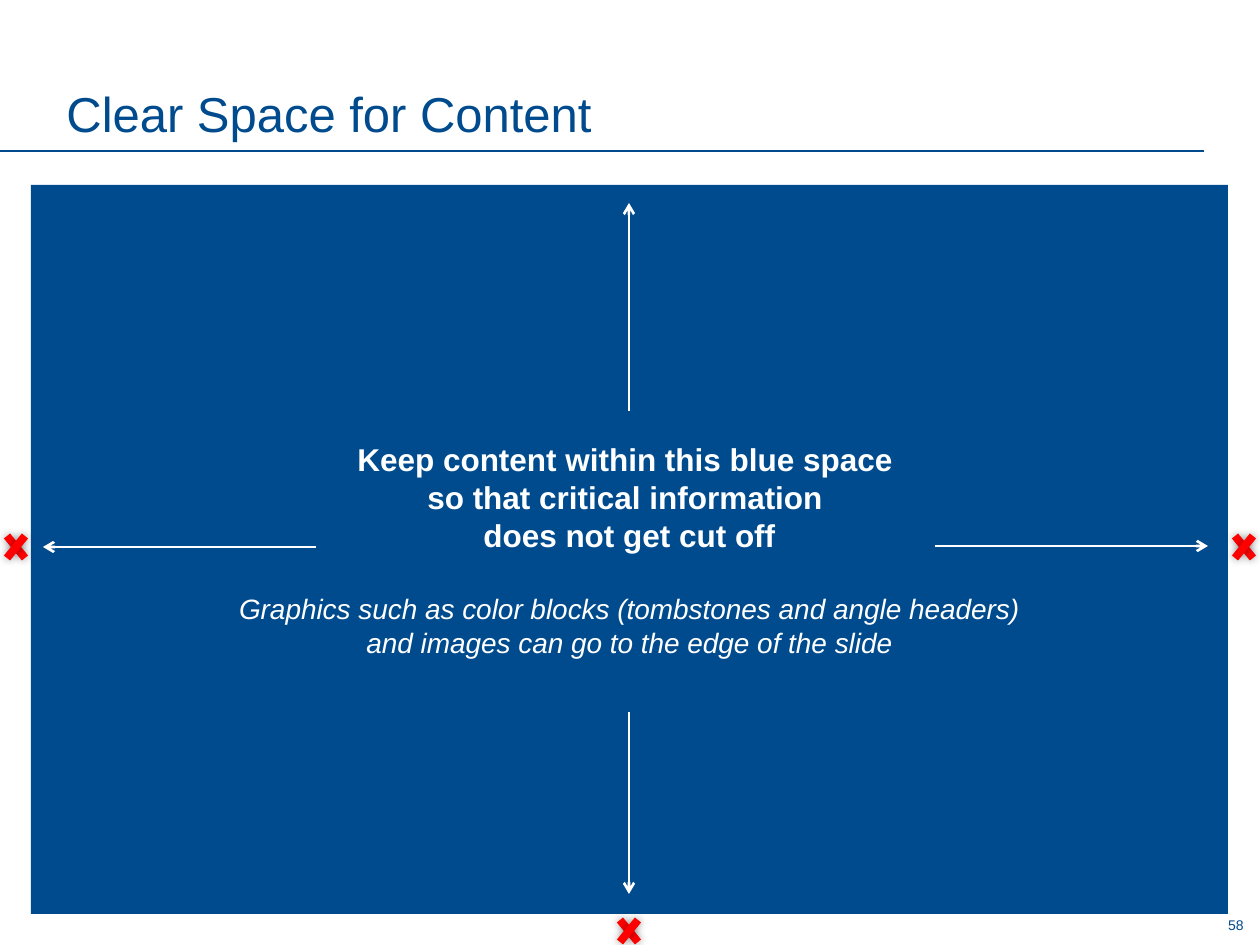
import pptx
import pptx.util
import pptx.dml.color
import pptx.enum.shapes
import pptx.enum.text
import pptx.oxml
import pptx.oxml.ns

PX = 914400 / 126
BLUE = pptx.dml.color.RGBColor(0x00, 0x4B, 0x8D)
WHITE = pptx.dml.color.RGBColor(0xFF, 0xFF, 0xFF)
RED = pptx.dml.color.RGBColor(0xFF, 0x00, 0x00)
NS = pptx.oxml.ns.nsdecls("a")
ALIGN = pptx.enum.text.PP_ALIGN
ANCHOR = pptx.enum.text.MSO_ANCHOR
SHADE = ('<a:outerShdw blurRad="63500" dist="0" dir="0"><a:srgbClr val="000000">'
         '<a:alpha val="40000"/></a:srgbClr></a:outerShdw>')


def emu(*vals):
    return [round(v * PX) for v in vals]


def add_line(shapes, ends, color, width, arrow=False, effect=""):
    line = shapes.add_connector(
        pptx.enum.shapes.MSO_CONNECTOR.STRAIGHT, *emu(*ends))
    line.line.color.rgb = color
    line.line.width = pptx.util.Pt(width)
    if arrow:
        line.line._get_or_add_ln().append(
            pptx.oxml.parse_xml(f'<a:tailEnd {NS} type="arrow"/>'))
    line._element.spPr.append(
        pptx.oxml.parse_xml(f"<a:effectLst {NS}>{effect}</a:effectLst>"))


deck = pptx.Presentation()
deck.slide_width, deck.slide_height = emu(1260, 945)
slide = deck.slides.add_slide(deck.slide_layouts[6])
shapes = slide.shapes

# Rule under the title
add_line(shapes, (0, 151, 1204, 151), BLUE, 0.75)

# Blue safe area, slide number and title
area = shapes.add_shape(
    pptx.enum.shapes.MSO_SHAPE.RECTANGLE, *emu(31, 185, 1197, 729))
area.shadow.inherit = False
area.fill.solid()
area.fill.fore_color.rgb = BLUE
area.line.fill.background()
num = shapes.add_textbox(*emu(1182, 911, 74, 27))
title = shapes.add_textbox(*emu(54, 18, 1152, 131))

# Text: box, anchor, then paragraphs with their paragraph and font formats
texts = [
    (num, ANCHOR.MIDDLE, [
        ("58", {"alignment": ALIGN.RIGHT}, {"size": 8}, BLUE)]),
    (area, ANCHOR.MIDDLE, [
        ("Keep content within this blue space \vso that critical information \v"
         "does not get cut off",
         {"alignment": ALIGN.CENTER}, {"size": 18, "bold": True}, WHITE),
        ("Graphics such as color blocks (tombstones and angle headers)\v"
         "and images can go to the edge of the slide",
         {"alignment": ALIGN.CENTER, "space_before": pptx.util.Pt(22)},
         {"size": 16, "italic": True}, WHITE)]),
    (title, ANCHOR.BOTTOM, [
        ("Clear Space for Content", {"line_spacing": 0.85}, {"size": 28}, BLUE)]),
]
for box, anchor, paras in texts:
    frame = box.text_frame
    frame.word_wrap = True
    frame.vertical_anchor = anchor
    for i, (words, layout, style, color) in enumerate(paras):
        para = frame.add_paragraph() if i else frame.paragraphs[0]
        para.text = words
        for key, val in layout.items():
            setattr(para, key, val)
        style = {**style, "name": "Arial", "size": pptx.util.Pt(style["size"])}
        for run in para.runs:
            for key, val in style.items():
                setattr(run.font, key, val)
            run.font.color.rgb = color

# Arrows out to the four sides
for ends in [(629, 411, 629, 203), (629, 712, 629, 894),
             (935, 546, 1208, 546), (316, 547, 43, 547)]:
    add_line(shapes, ends, WHITE, 1.5, arrow=True)

# Red crosses beyond the safe area
for x, y in [(16, 547), (1244, 547), (629, 931)]:
    cross = shapes.add_group_shape()
    for dx in (9, -9):
        add_line(cross.shapes, (x - dx, y - 11, x + dx, y + 11), RED, 4.5,
                 effect=SHADE)

deck.save("out.pptx")
